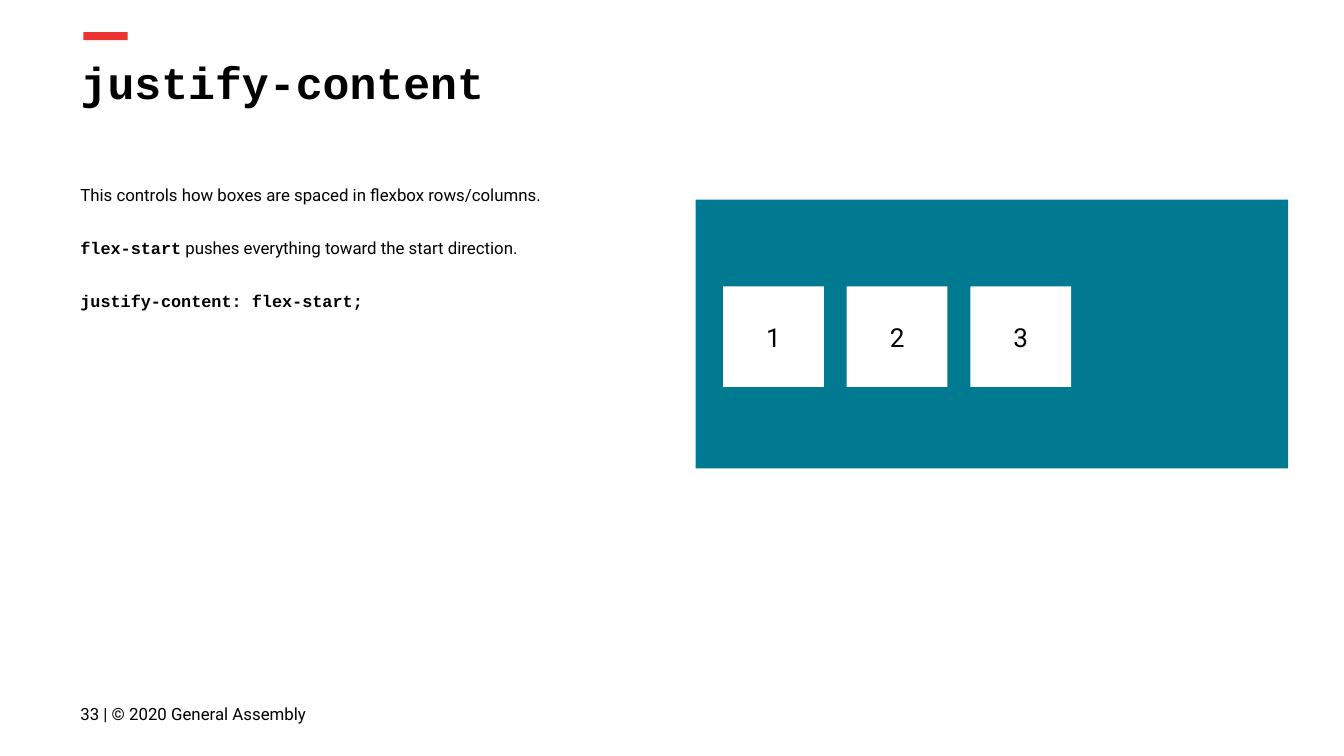
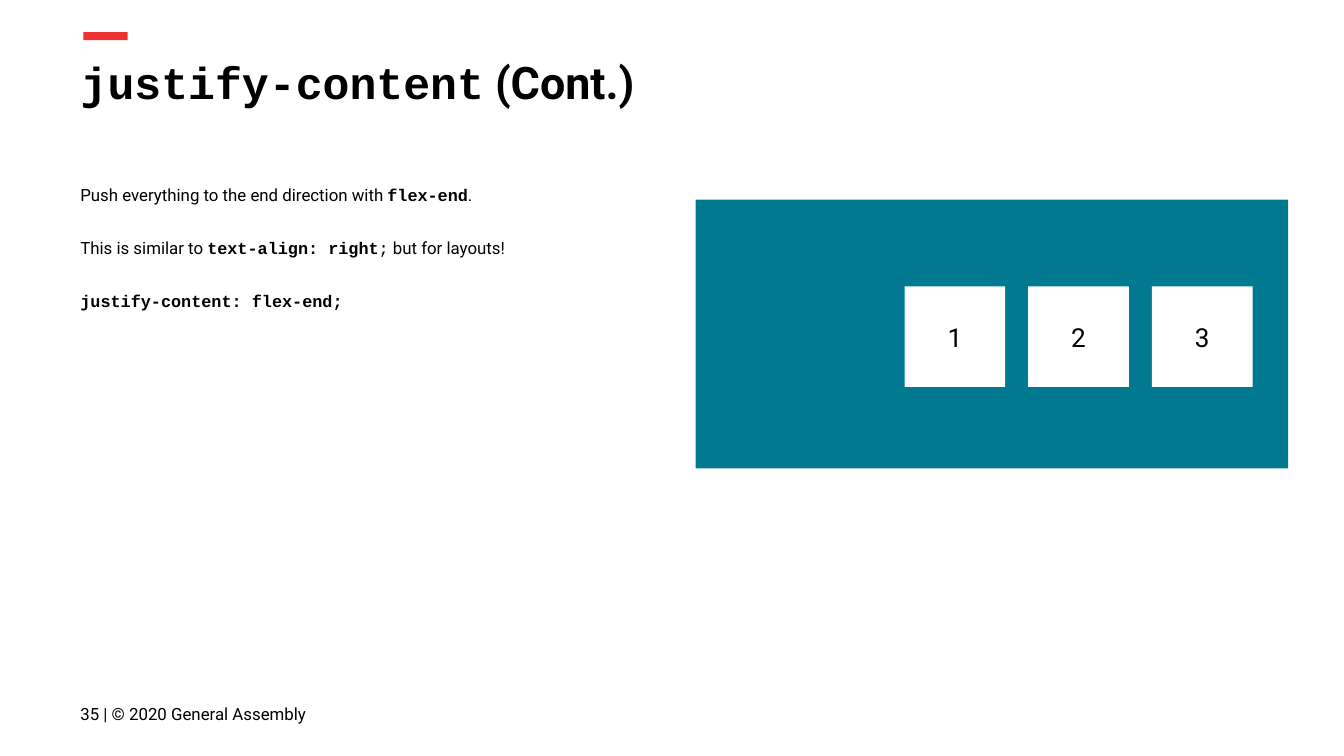
from pptx import Presentation
from pptx.dml.color import RGBColor
from pptx.enum.shapes import MSO_SHAPE
from pptx.enum.text import MSO_ANCHOR, MSO_AUTO_SIZE, PP_ALIGN
from pptx.util import Inches, Pt

COLORS = {"black": "000000", "white": "FFFFFF", "red": "ED332F", "teal": "017991"}
SANS, MONO = "Roboto", "Courier New"
BOX_SIZE, BOX_STEP, BOX_TOP = 0.75, 0.92, 2.13

# Each run is (text, font, bold)
slides = [
    {
        "title": [("justify-content", MONO, True)],
        "body": [
            [("This controls how boxes are spaced in flexbox rows/columns.", SANS, False)],
            [("flex-start", MONO, True),
             (" pushes everything toward the start direction.", SANS, False)],
            [("justify-content: flex-start;", MONO, True)],
        ],
        "number": 33,
        "first_box": 5.38,
    },
    {
        "title": [("justify-content", MONO, True), (" (Cont.)", SANS, True)],
        "body": [
            [("Push everything to the end direction with ", SANS, False),
             ("flex-end", MONO, True), (".", SANS, False)],
            [("This is similar to ", SANS, False), ("text-align: right", MONO, True),
             (";", MONO, False), (" but for layouts!", SANS, False)],
            [("justify-content: flex-end;", MONO, True)],
        ],
        "number": 35,
        "first_box": 6.73,
    },
]


def add_rect(s, left, top, width, height, color):
    sp = s.shapes.add_shape(MSO_SHAPE.RECTANGLE, Inches(left), Inches(top),
                            Inches(width), Inches(height))
    sp.shadow.inherit = False
    sp.fill.solid()
    sp.fill.fore_color.rgb = RGBColor.from_string(COLORS[color])
    sp.line.fill.background()
    return sp


def write(sp, paragraphs, size, anchor=MSO_ANCHOR.TOP, align=PP_ALIGN.LEFT,
          line_spacing=1.0, gap=0):
    tf = sp.text_frame
    tf.word_wrap = True
    tf.auto_size = MSO_AUTO_SIZE.NONE
    tf.vertical_anchor = anchor
    tf.margin_left = tf.margin_right = tf.margin_top = tf.margin_bottom = Inches(0.1)
    for i, runs in enumerate(paragraphs):
        p = tf.add_paragraph() if i else tf.paragraphs[0]
        p.alignment = align
        p.line_spacing = line_spacing
        p.space_before = Pt(gap if i else 0)
        for text, font, bold in runs:
            r = p.add_run()
            r.text = text
            r.font.name = font
            r.font.size = Pt(size)
            r.font.bold = bold
            r.font.color.rgb = RGBColor.from_string(COLORS["black"])


# Widescreen page, 16:9
prs = Presentation()
prs.slide_width = Inches(10)
prs.slide_height = Inches(10) * 9 // 16

for content in slides:
    s = prs.slides.add_slide(prs.slide_layouts[5])

    # Accent bar and title
    add_rect(s, 0.62, 0.24, 0.33, 0.06, "red")
    title = s.shapes.title
    title.left, title.top = Inches(0.5), Inches(0.31)
    title.width, title.height = Inches(9.32), Inches(0.63)
    write(title, [content["title"]], 24)

    # Explanation
    body = s.shapes.add_textbox(Inches(0.5), Inches(1.25), Inches(4.5), Inches(3.21))
    write(body, content["body"], 9, line_spacing=1.15, gap=16)

    # Flex container with its numbered boxes
    panel = add_rect(s, 6.38, 0.28, 2, 4.41, "teal")
    panel.rotation = 270
    for i in range(3):
        box = add_rect(s, content["first_box"] + i * BOX_STEP, BOX_TOP,
                       BOX_SIZE, BOX_SIZE, "white")
        write(box, [[(str(i + 1), SANS, False)]], 14, MSO_ANCHOR.MIDDLE, PP_ALIGN.CENTER)

    # Footer
    footer = s.shapes.add_textbox(Inches(0.5), Inches(5.1), Inches(2.59), Inches(0.43))
    write(footer, [[(f"{content['number']} | © 2020 General Assembly", SANS, False)]],
          9, MSO_ANCHOR.MIDDLE)

prs.save("out.pptx")
